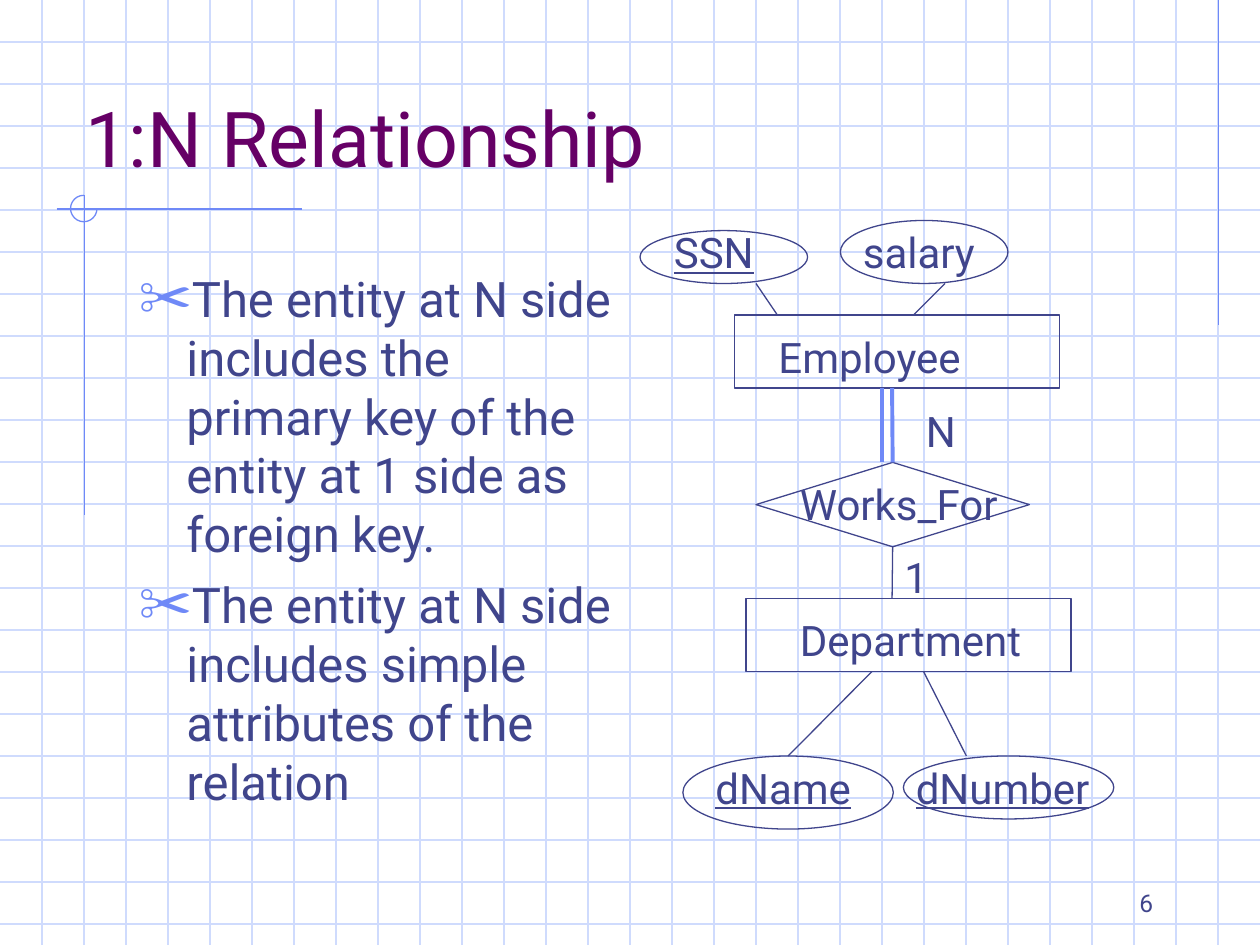
from lxml.etree import SubElement
from pptx import Presentation
from pptx.dml.color import RGBColor
from pptx.enum.shapes import MSO_CONNECTOR, MSO_SHAPE
from pptx.enum.text import MSO_ANCHOR, MSO_AUTO_SIZE, PP_ALIGN
from pptx.oxml.ns import qn
from pptx.util import Inches, Pt

INK, BLUE, GRID, PLUM = "40458C", "6F89F7", "CFDBFD", "660066"
WIDE, HIGH, STEP = 10, 7.5, 1 / 3

TITLE = "1:N Relationship"
POINTS = [
    "The entity at N side includes the primary key of the entity at 1 side as foreign key.",
    "The entity at N side includes simple attributes of the relation",
]
# name: (preset, box)
NODES = {
    "Employee": (MSO_SHAPE.RECTANGLE, (5.83, 2.5, 2.58, 0.58)),
    "Department": (MSO_SHAPE.RECTANGLE, (5.92, 4.75, 2.58, 0.58)),
    "Works_For": (MSO_SHAPE.DIAMOND, (6, 3.67, 2.17, 0.67)),
    "SSN": (MSO_SHAPE.OVAL, (5.08, 1.83, 1.33, 0.42)),
    "salary": (MSO_SHAPE.OVAL, (6.67, 1.75, 1.33, 0.5)),
    "dName": (MSO_SHAPE.OVAL, (5.42, 6, 1.67, 0.58)),
    "dNumber": (MSO_SHAPE.OVAL, (7.17, 6, 1.67, 0.5)),
}
# text, box, underlined
LABELS = [
    ("Employee", (6.08, 2.58, 2.08, 0.5), False),
    ("Department", (6.25, 4.83, 2, 0.5), False),
    ("Works_For", (6.25, 3.75, 1.92, 0.5), False),
    ("N", (7.25, 3.17, 0.58, 0.5), False),
    ("1", (7.08, 4.33, 0.58, 0.5), False),
    ("SSN", (5.25, 1.75, 1, 0.5), True),
    ("salary", (6.75, 1.75, 1.25, 0.5), False),
    ("dName", (5.58, 6, 1.33, 0.5), True),
    ("dNumber", (7.17, 6, 1.58, 0.5), True),
]
# start, end, colour, width, (node, side) joined at the end
LINKS = [
    ((7.08, 3.08), (7.08, 3.67), BLUE, 2.25, ("Works_For", 0)),
    ((7, 3.08), (7, 3.67), BLUE, 2.25, None),
    ((7.08, 4.75), (7.08, 4.33), INK, 0.75, ("Works_For", 2)),
    ((6, 2.25), (6.17, 2.5), INK, 0.75, None),
    ((7.5, 2.25), (7.25, 2.5), INK, 0.75, None),
    ((6.92, 5.33), (6.25, 6), INK, 0.75, ("dName", 0)),
    ((7.33, 5.33), (7.67, 6), INK, 0.75, None),
]
RULES = [
    ((9.67, 0), (9.67, 2.58)),
    ((0.45, 1.66), (2.4, 1.66)),
    ((0.67, 1.55), (0.67, 4.09)),
]


def rgb(code):
    return RGBColor.from_string(code)


def inches(nums):
    return [Inches(n) for n in nums]


def draw_line(start, end, color, width=0.75):
    line = shapes.add_connector(MSO_CONNECTOR.STRAIGHT, *inches(start + end))
    line.line.color.rgb = rgb(color)
    line.line.width = Pt(width)
    SubElement(line.element.spPr, qn("a:effectLst"))
    return line


def draw_shape(kind, box, color):
    shape = shapes.add_shape(kind, *inches(box))
    shape.shadow.inherit = False
    shape.fill.background()
    shape.line.color.rgb = rgb(color)
    shape.line.width = Pt(0.75)
    return shape


def write(shape, box, texts, size, color=INK, underline=False,
          align=PP_ALIGN.LEFT, anchor=MSO_ANCHOR.TOP):
    """Place a text shape and fill it with one paragraph per text."""
    places = dict(zip(("left", "top", "width", "height"), inches(box)))
    for key, value in places.items():
        setattr(shape, key, value)
    frame = shape.text_frame
    frame.text = "\n".join(texts)
    look = {"word_wrap": True, "auto_size": MSO_AUTO_SIZE.NONE,
            "vertical_anchor": anchor}
    for key, value in look.items():
        setattr(frame, key, value)
    style = {"name": "Roboto", "size": Pt(size), "underline": underline}
    for para in frame.paragraphs:
        para.alignment = align
        font = para.runs[0].font
        for key, value in style.items():
            setattr(font, key, value)
        font.color.rgb = rgb(color)
    return frame


def text_box(box, text, size, **style):
    write(shapes.add_textbox(*inches(box)), box, [text], size, **style)


def add_bullet(para):
    para.space_before = Pt(7)
    props = para._p.get_or_add_pPr()
    props.set("marL", str(Inches(0.38)))
    props.set("indent", str(-Inches(0.38)))
    tint = SubElement(props, qn("a:buClr"))
    SubElement(tint, qn("a:srgbClr"), val=BLUE)
    SubElement(props, qn("a:buSzPct"), val="110000")
    SubElement(props, qn("a:buChar"), char="✂")


deck = Presentation()
deck.slide_width, deck.slide_height = inches((WIDE, HIGH))
slide = deck.slides.add_slide(deck.slide_layouts[1])
shapes = slide.shapes

for row in range(1, int(HIGH / STEP) + 1):
    draw_line((0, row * STEP), (WIDE, row * STEP), GRID)
for col in range(1, round(WIDE / STEP)):
    draw_line((col * STEP, 0), (col * STEP, HIGH), GRID)
for start, end in RULES:
    draw_line(start, end, BLUE)
arc = draw_shape(MSO_SHAPE.ARC, (0.56, 1.55, 0.21, 0.21), BLUE)
arc.adjustments[0] = 0
arc.adjustments[1] = 162  # 270 degrees

title, body = shapes.title, slide.placeholders[1]
for holder in (title, body):  # bring in front of the grid
    shapes.element.append(holder.element)
write(title, (0.58, 0.25, 8.5, 1.25), [TITLE], 44, PLUM, anchor=MSO_ANCHOR.BOTTOM)
for para in write(body, (1, 2.08, 4, 4.92), POINTS, 28).paragraphs:
    add_bullet(para)

nodes = {name: draw_shape(kind, box, INK) for name, (kind, box) in NODES.items()}
for start, end, color, width, joint in LINKS:
    link = draw_line(start, end, color, width)
    if joint:
        name, side = joint
        link.end_connect(nodes[name], side)
for text, box, lined in LABELS:
    text_box(box, text, 24, underline=lined)
text_box((7.17, 6.83, 2.08, 0.5), "6", 14,
         align=PP_ALIGN.RIGHT, anchor=MSO_ANCHOR.BOTTOM)

deck.save("out.pptx")
